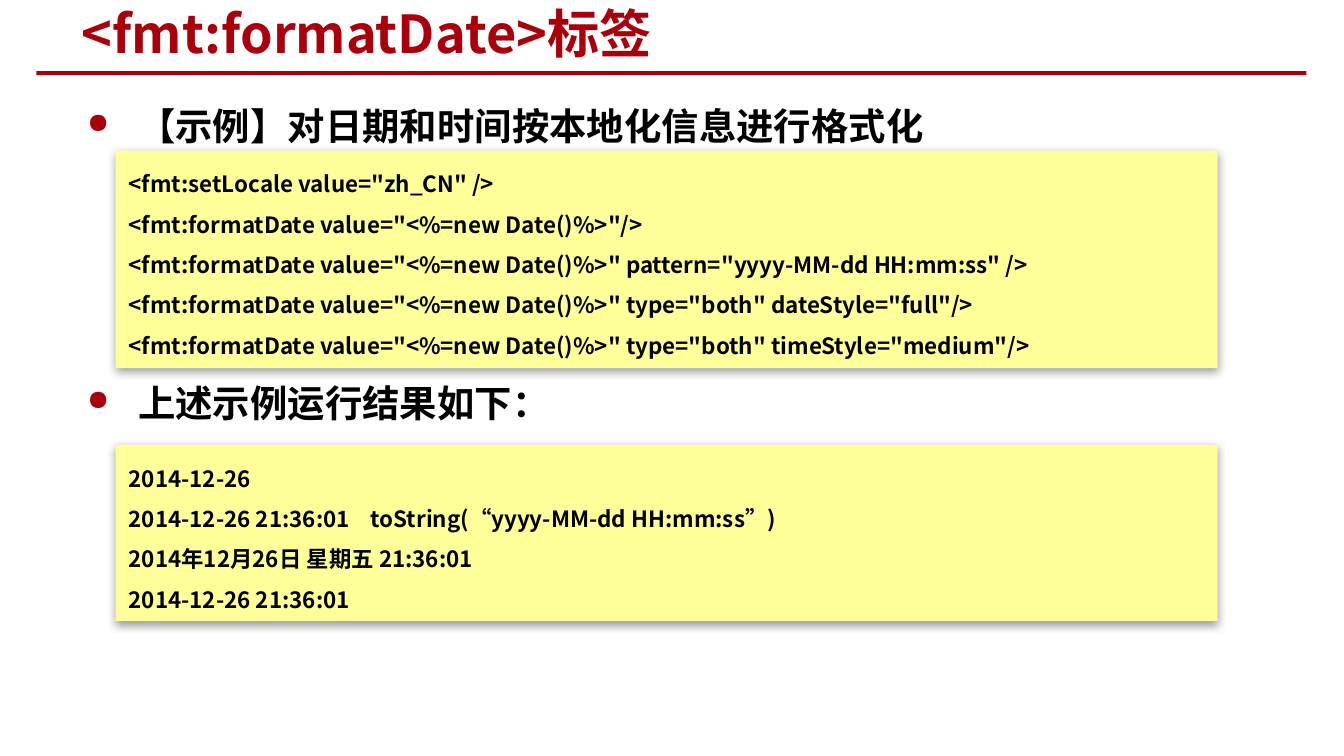
import pptx
import pptx.dml.color
import pptx.enum.shapes
import pptx.enum.text
import pptx.oxml
import pptx.oxml.ns
import pptx.util
from pptx.util import Inches

COLORS = {"red": "AA000B", "black": "000000", "code": "FFFF99", "shadow": "000000"}
FONT = "Noto Sans CJK SC"
NAMESPACE = pptx.oxml.ns.nsdecls("a")

CODE_LINES = [
    '<fmt:setLocale value="zh_CN" />',
    '<fmt:formatDate value="<%=new Date()%>"/>',
    '<fmt:formatDate value="<%=new Date()%>" pattern="yyyy-MM-dd HH:mm:ss" />',
    '<fmt:formatDate value="<%=new Date()%>" type="both" dateStyle="full"/>',
    '<fmt:formatDate value="<%=new Date()%>" type="both" timeStyle="medium"/>',
]
RESULT_LINES = [
    "2014-12-26",
    "2014-12-26 21:36:01\ttoString(“yyyy-MM-dd HH:mm:ss”)",
    "2014年12月26日 星期五 21:36:01",
    "2014-12-26 21:36:01",
]


def color(name):
    return pptx.dml.color.RGBColor.from_string(COLORS[name])


def add_xml(parent, xml):
    parent.append(pptx.oxml.parse_xml(xml))


def add_run(paragraph, text, size, color_name):
    run = paragraph.add_run()
    run.text = text
    run.font.size = pptx.util.Pt(size)
    run.font.bold = True
    run.font.name = FONT
    run.font.color.rgb = color(color_name)
    add_xml(run.font._element, f'<a:ea {NAMESPACE} typeface="{FONT}"/>')


def add_rectangle(slide, left, top, width, height, color_name):
    shape = slide.shapes.add_shape(
        pptx.enum.shapes.MSO_SHAPE.RECTANGLE,
        Inches(left), Inches(top), Inches(width), Inches(height))
    shape.shadow.inherit = False
    shape.fill.solid()
    shape.fill.fore_color.rgb = color(color_name)
    shape.line.fill.background()
    return shape


def add_text_frame(slide, left, top, width, height):
    text_box = slide.shapes.add_textbox(
        Inches(left), Inches(top), Inches(width), Inches(height))
    text_box.text_frame.word_wrap = True
    return text_box.text_frame


def add_title(slide, left, top, width, height, text):
    frame = add_text_frame(slide, left, top, width, height)
    frame.vertical_anchor = pptx.enum.text.MSO_ANCHOR.MIDDLE
    add_run(frame.paragraphs[0], text, 28, "red")
    add_rectangle(slide, left - 0.24, top + 0.51, 9.45, 0.03, "red")


def add_heading(slide, left, top, width, height, text):
    paragraph = add_text_frame(slide, left, top, width, height).paragraphs[0]
    paragraph.line_spacing = 1.5
    properties = paragraph._p.get_or_add_pPr()
    properties.set("marL", str(Inches(0.38)))
    properties.set("indent", str(Inches(-0.38)))
    add_xml(properties, f'<a:buClr {NAMESPACE}><a:srgbClr val="{COLORS["red"]}"/></a:buClr>')
    add_xml(properties, f'<a:buSzPct {NAMESPACE} val="75000"/>')
    add_xml(properties, f'<a:buChar {NAMESPACE} char="●"/>')
    add_run(paragraph, text, 20, "black")


def add_shadow(shape):
    effects = shape._element.spPr.find(pptx.oxml.ns.qn("a:effectLst"))
    add_xml(effects, (
        f'<a:outerShdw {NAMESPACE} blurRad="{pptx.util.Pt(5)}" dist="{pptx.util.Pt(1.6)}" '
        f'dir="5400000" rotWithShape="0"><a:srgbClr val="{COLORS["shadow"]}">'
        '<a:alpha val="38000"/></a:srgbClr></a:outerShdw>'))


def add_code_panel(slide, left, top, width, height, lines):
    shape = add_rectangle(slide, left, top, width, height, "code")
    add_shadow(shape)
    frame = shape.text_frame
    frame.word_wrap = True
    frame.auto_size = pptx.enum.text.MSO_AUTO_SIZE.SHAPE_TO_FIT_TEXT
    frame.vertical_anchor = pptx.enum.text.MSO_ANCHOR.TOP
    for index, line in enumerate(lines):
        paragraph = frame.add_paragraph() if index else frame.paragraphs[0]
        paragraph.alignment = pptx.enum.text.PP_ALIGN.LEFT
        paragraph.line_spacing = 1.5
        if "\t" in line:
            add_xml(paragraph._p.get_or_add_pPr(), (
                f'<a:tabLst {NAMESPACE}><a:tab pos="{Inches(1.8)}" algn="l"/></a:tabLst>'))
        add_run(paragraph, line, 12, "black")


def main():
    presentation = pptx.Presentation()
    presentation.slide_width = Inches(10)
    presentation.slide_height = presentation.slide_width * 9 // 16
    slide = presentation.slides.add_slide(presentation.slide_layouts[6])

    add_title(slide, 0.51, 0.02, 6.75, 0.45, "<fmt:formatDate>标签")
    add_heading(slide, 0.55, 0.55, 8.98, 0.6, "【示例】对日期和时间按本地化信息进行格式化")
    add_code_panel(slide, 0.86, 1.12, 8.2, 1.62, CODE_LINES)
    add_heading(slide, 0.55, 2.61, 8.98, 0.6, "上述示例运行结果如下：")
    add_code_panel(slide, 0.86, 3.31, 8.2, 1.31, RESULT_LINES)

    presentation.save("out.pptx")


if __name__ == "__main__":
    main()
